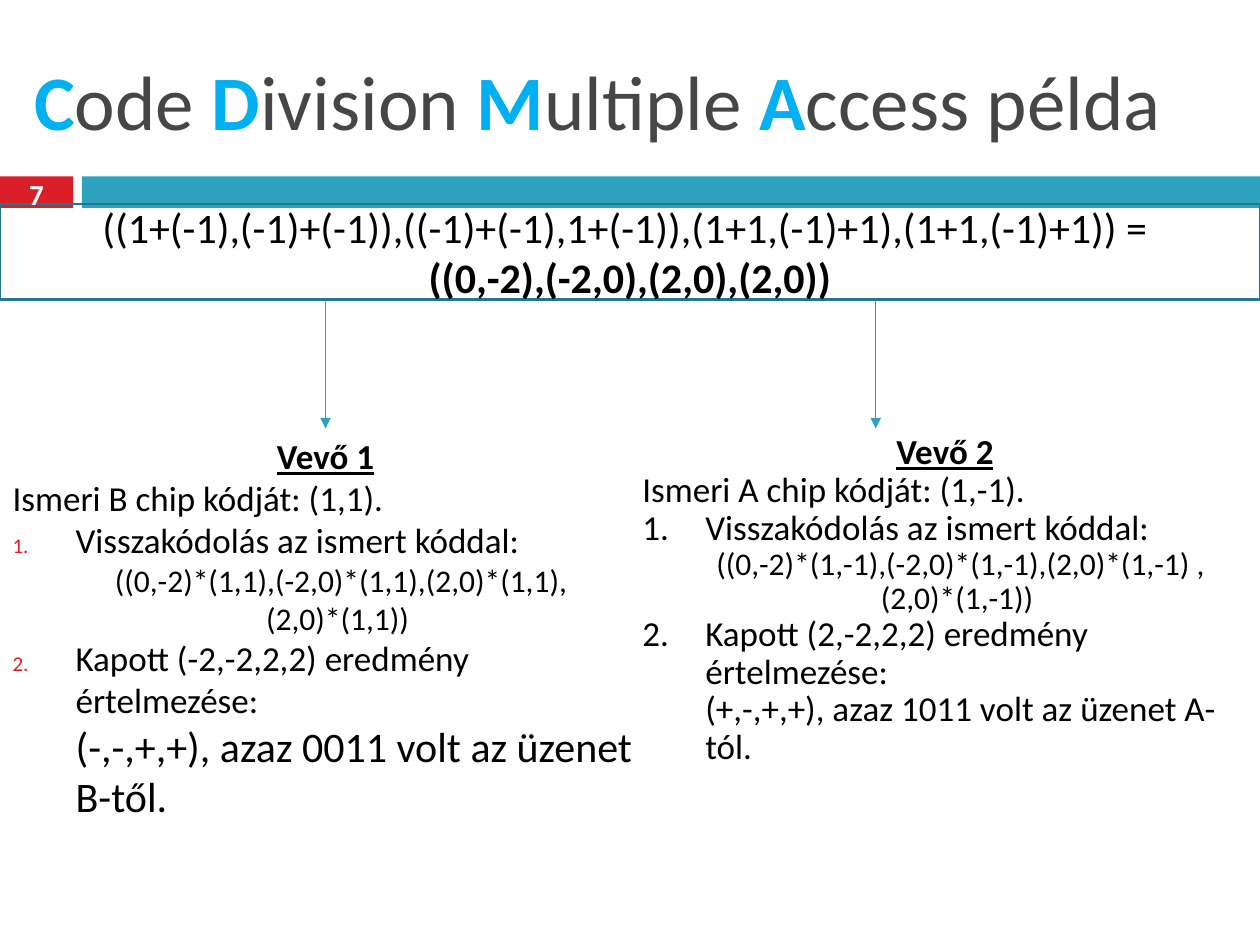
from lxml.etree import SubElement
from pptx import Presentation
from pptx.dml.color import RGBColor
from pptx.enum.shapes import MSO_CONNECTOR as CONNECTOR, MSO_SHAPE as SHAPE
from pptx.enum.text import MSO_ANCHOR as ANCHOR, MSO_AUTO_SIZE as AUTOSIZE, PP_ALIGN as ALIGN
from pptx.oxml.ns import qn
from pptx.util import Pt

BLACK, WHITE, GRAY = "000000", "FFFFFF", "464646"
RED, TEAL, DARK_TEAL, SKY = "DA1F28", "2DA2BF", "21788D", "00B0F0"
ARROW_TOP, COLUMN_TOP, COLUMN_HEIGHT = 171.5, 244.8, 277.2


def color(hex_code):
    return RGBColor.from_string(hex_code)


def add_run(para, text, size, hex_code=BLACK, bold=False, underline=False):
    run = para.add_run()
    run.text = text
    font = run.font
    font.name, font.size = "Calibri", Pt(size)
    font.bold, font.underline = bold, underline
    font.color.rgb = color(hex_code)


def place(box, left, top, width, height):
    box.left, box.top, box.width, box.height = map(Pt, (left, top, width, height))


def prepare_frame(box, anchor=ANCHOR.MIDDLE):
    frame = box.text_frame
    frame.word_wrap = True
    frame.auto_size = AUTOSIZE.NONE
    frame.vertical_anchor = anchor
    return frame


def add_rectangle(slide, left, top, width, height, fill=None, line=None):
    box = slide.shapes.add_shape(SHAPE.RECTANGLE, *map(Pt, (left, top, width, height)))
    box.shadow.inherit = False
    if fill:
        box.fill.solid()
        box.fill.fore_color.rgb = color(fill)
    else:
        box.fill.background()
    if line:
        box.line.color.rgb = color(line)
        box.line.width = Pt(1.5)
    else:
        box.line.fill.background()
    return box


def add_arrow(slide, x):
    arrow = slide.shapes.add_connector(
        CONNECTOR.STRAIGHT, Pt(x), Pt(ARROW_TOP), Pt(x), Pt(COLUMN_TOP))
    arrow.line.color.rgb = color(TEAL)
    arrow.line.width = Pt(0.79)
    SubElement(arrow.line._get_or_add_ln(), qn("a:tailEnd"), type="triangle")
    SubElement(arrow._element.spPr, qn("a:effectLst"))
    return arrow


def format_list_item(para, margin, numbered, number_color):
    """Set the indent, and a hanging number or no bullet at all."""
    props = para._p.get_or_add_pPr()
    props.set("marL", str(Pt(margin)))
    props.set("indent", str(Pt(-margin if numbered else 0)))
    if not numbered:
        SubElement(props, qn("a:buNone"))
        return
    if number_color:
        bullet_color = SubElement(props, qn("a:buClr"))
        SubElement(bullet_color, qn("a:srgbClr"), val=number_color)
        SubElement(props, qn("a:buSzPct"), val="60000")
    SubElement(props, qn("a:buFont"), typeface="+mj-lt")
    SubElement(props, qn("a:buAutoNum"), type="arabicPeriod")


def fill_receiver(box, texts, result_size, spacing, number_color=None):
    """Write heading, known code, two numbered steps and their details."""
    heading, known_code, decoding, formula, reading, result = texts
    rows = [  # text, size, level, margin, numbered, centred
        (heading, 20, 0, 0, False, True),
        (known_code, 20, 0, 0, False, False),
        (decoding, 20, 0, 36, True, False),
        (formula, 18, 1, 18, False, True),
        (reading, 20, 0, 36, True, False),
        (result, result_size, 1, 36, False, False),
    ]
    frame = prepare_frame(box, ANCHOR.TOP)
    for index, (text, size, level, margin, numbered, centred) in enumerate(rows):
        para = frame.add_paragraph() if index else frame.paragraphs[0]
        para.level = level
        para.alignment = ALIGN.CENTER if centred else ALIGN.LEFT
        para.line_spacing = spacing
        para.space_before = Pt(0)
        format_list_item(para, margin, numbered, number_color)
        is_heading = index == 0
        add_run(para, text, size, bold=is_heading, underline=is_heading)


def write_title(title):
    place(title, 12.24, 18, 696.24, 77.76)
    para = prepare_frame(title).paragraphs[0]
    para.alignment = ALIGN.LEFT
    for word in ("Code ", "Division ", "Multiple ", "Access példa"):
        add_run(para, word[0], 44, SKY, bold=True)
        add_run(para, word[1:], 44, GRAY)


def add_signal_sum(slide):
    box = add_rectangle(slide, 0, 116.64, 720, 54.72, line=DARK_TEAL)
    para = prepare_frame(box).paragraphs[0]
    para.alignment = ALIGN.CENTER
    add_run(para, "((1+(-1),(-1)+(-1)),((-1)+(-1),1+(-1)),(1+1,(-1)+1),(1+1,(-1)+1)) = ", 24)
    para.add_line_break()
    add_run(para, "((0,-2),(-2,0),(2,0),(2,0))", 24, bold=True)


def add_page_number(slide):
    box = slide.shapes.add_textbox(*map(Pt, (0, 98.64, 41.76, 23.76)))
    para = prepare_frame(box).paragraphs[0]
    para.alignment = ALIGN.CENTER
    add_run(para, "7", 16.6, WHITE, bold=True)


def main():
    deck = Presentation()
    deck.slide_width, deck.slide_height = Pt(720), Pt(540)
    slide = deck.slides.add_slide(deck.slide_layouts[1])
    title, receiver_1 = slide.placeholders

    add_rectangle(slide, 0, 100.8, 41.76, 18, fill=RED)
    add_rectangle(slide, 46.8, 100.8, 673.2, 18, fill=TEAL)
    write_title(title)

    place(receiver_1, 0, COLUMN_TOP, 372, COLUMN_HEIGHT)
    fill_receiver(receiver_1, (
        "Vevő 1",
        "Ismeri B chip kódját: (1,1).",
        "Visszakódolás az ismert kóddal:",
        "((0,-2)*(1,1),(-2,0)*(1,1),(2,0)*(1,1),(2,0)*(1,1)) ",
        "Kapott (-2,-2,2,2) eredmény értelmezése:",
        "(-,-,+,+), azaz 0011 volt az üzenet B-től.",
    ), result_size=24, spacing=1.0, number_color=RED)

    receiver_2 = slide.shapes.add_textbox(
        *map(Pt, (360, COLUMN_TOP, 360, COLUMN_HEIGHT)))
    fill_receiver(receiver_2, (
        "Vevő 2",
        "Ismeri A chip kódját: (1,-1).",
        "Visszakódolás az ismert kóddal:",
        "((0,-2)*(1,-1),(-2,0)*(1,-1),(2,0)*(1,-1) ,(2,0)*(1,-1)) ",
        "Kapott (2,-2,2,2) eredmény értelmezése:",
        "(+,-,+,+), azaz 1011 volt az üzenet A-tól.",
    ), result_size=20, spacing=0.9)

    add_signal_sum(slide)
    add_arrow(slide, 186).end_connect(receiver_1, 0)
    add_arrow(slide, 500.4)
    add_page_number(slide)
    deck.save("out.pptx")


if __name__ == "__main__":
    main()
